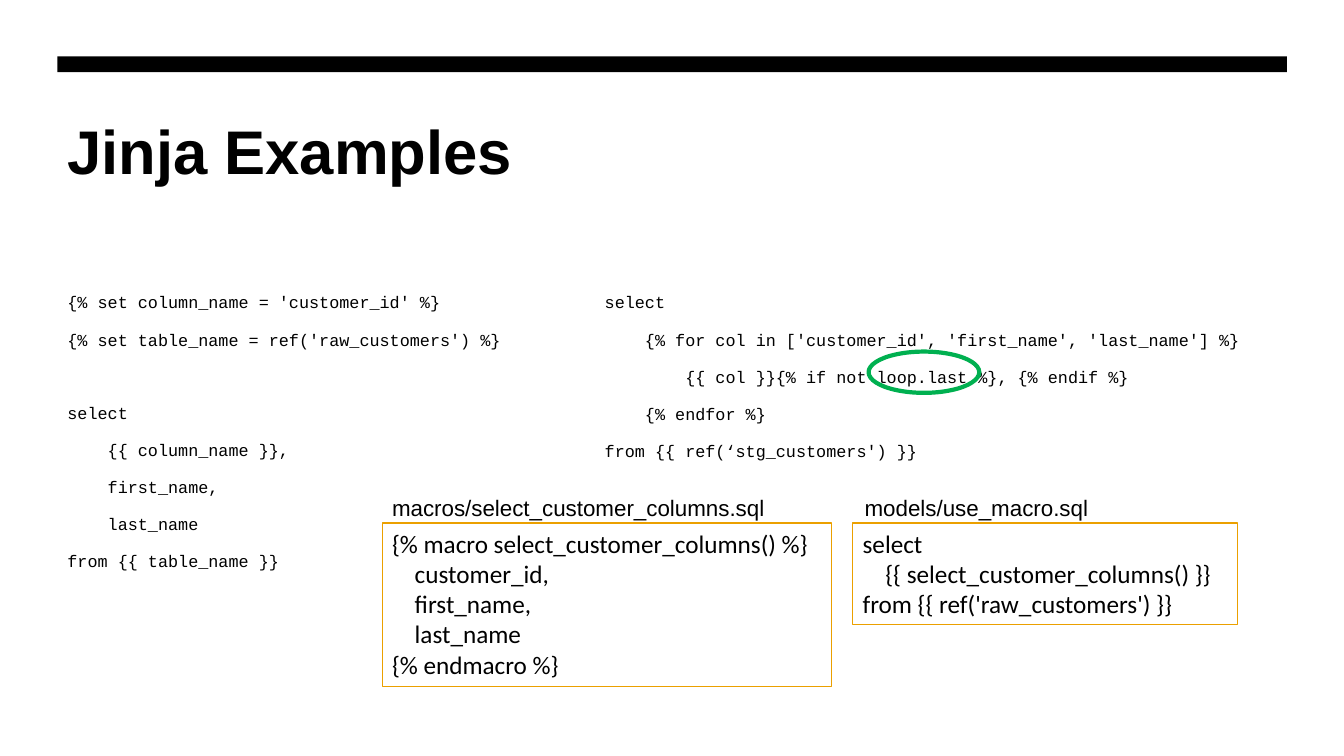
from pptx import Presentation
from pptx.dml.color import RGBColor
from pptx.enum.shapes import MSO_SHAPE as Shape
from pptx.enum.text import MSO_ANCHOR as Anchor, PP_ALIGN as Align
from pptx.util import Cm, Pt

BLACK, AMBER, GREEN = "000000", "EBA000", "00B050"
MARGIN = 1.45
CODE_SIZE, CODE_SPACING, CODE_GAP = 12, 1.15, 10
SECTION_GAP = 35.6  # paragraph gap plus one empty code line

VARIABLES_CODE = """{% set column_name = 'customer_id' %}
{% set table_name = ref('raw_customers') %}
select
    {{ column_name }},
    first_name,
    last_name
from {{ table_name }}"""

LOOP_CODE = """select
    {% for col in ['customer_id', 'first_name', 'last_name'] %}
        {{ col }}{% if not loop.last %}, {% endif %}
    {% endfor %}
from {{ ref(‘stg_customers') }}"""

MACRO_CODE = """{% macro select_customer_columns() %}
    customer_id,
    first_name,
    last_name
{% endmacro %}"""

MODEL_CODE = """select
    {{ select_customer_columns() }}
from {{ ref('raw_customers') }}"""


def color(hex_string):
    return RGBColor.from_string(hex_string)


def fill_text(frame, text, font, size, bold=False):
    """Write text into a frame, one left-aligned paragraph per line."""
    frame.word_wrap = True
    frame.vertical_anchor = Anchor.TOP
    frame.text = text
    for paragraph in frame.paragraphs:
        paragraph.alignment = Align.LEFT
        for run in paragraph.runs:
            run.font.name = font
            run.font.size = Pt(size)
            run.font.bold = bold
            run.font.color.rgb = color(BLACK)


def add_text(slide, box, text, font, size, bold=False):
    frame = slide.shapes.add_textbox(*map(Cm, box)).text_frame
    fill_text(frame, text, font, size, bold)
    return frame


def add_outline(slide, kind, box, line_color, line_width):
    outline = slide.shapes.add_shape(kind, *map(Cm, box))
    outline.shadow.inherit = False
    outline.fill.background()
    outline.line.color.rgb = color(line_color)
    outline.line.width = Pt(line_width)
    return outline


def add_header(slide, left, top, width):
    """Draw the black bar with the title below it."""
    bar = slide.shapes.add_shape(Shape.RECTANGLE, Cm(left), Cm(top), Cm(width), Cm(0.4))
    bar.shadow.inherit = False
    bar.fill.solid()
    bar.fill.fore_color.rgb = color(BLACK)
    bar.line.fill.background()
    add_text(slide, (left, top + 1.3, width, 4.06), "Jinja Examples", "Arial", 44, True)


def add_listing(slide, box, code, section_starts=()):
    """Place spaced code; section_starts are line numbers that open a new section."""
    frame = add_text(slide, box, code, "Courier New", CODE_SIZE)
    for number, paragraph in enumerate(frame.paragraphs):
        paragraph.line_spacing = CODE_SPACING
        if number:
            paragraph.space_before = Pt(SECTION_GAP if number in section_starts else CODE_GAP)


def add_loop_example(slide, left, top):
    """Place the loop listing and ring its loop.last test."""
    add_listing(slide, (left, top, 17.04, 5.11), LOOP_CODE)
    add_outline(slide, Shape.OVAL, (left + 6.9, top + 1.7, 2.79, 1.04), GREEN, 3)


def add_file_panel(slide, box, file_name, code, label_shift=0):
    """Place a framed code file with its file name above the frame."""
    left, top, width, height = box
    panel = add_outline(slide, Shape.RECTANGLE, box, AMBER, 0.75)
    fill_text(panel.text_frame, code, "Calibri", 18)
    add_text(slide, (left + label_shift, top - 0.86, 11.33, 0.94), file_name, "Arial", 16)


def main():
    prs = Presentation()
    prs.slide_width, prs.slide_height = Cm(33.87), Cm(19.05)
    slide = prs.slides.add_slide(prs.slide_layouts[6])

    code_top, panel_top = 7.16, 13.18
    add_header(slide, MARGIN, 1.42, 30.98)
    add_listing(slide, (MARGIN, code_top, 11.94, 10.46), VARIABLES_CODE, {2})
    add_loop_example(slide, 14.99, code_top)
    add_file_panel(slide, (9.63, panel_top, 11.33, 4.11),
                   "macros/select_customer_columns.sql", MACRO_CODE)
    add_file_panel(slide, (21.49, panel_top, 9.7, 2.57),
                   "models/use_macro.sql", MODEL_CODE, label_shift=0.05)
    prs.save("out.pptx")


if __name__ == "__main__":
    main()
